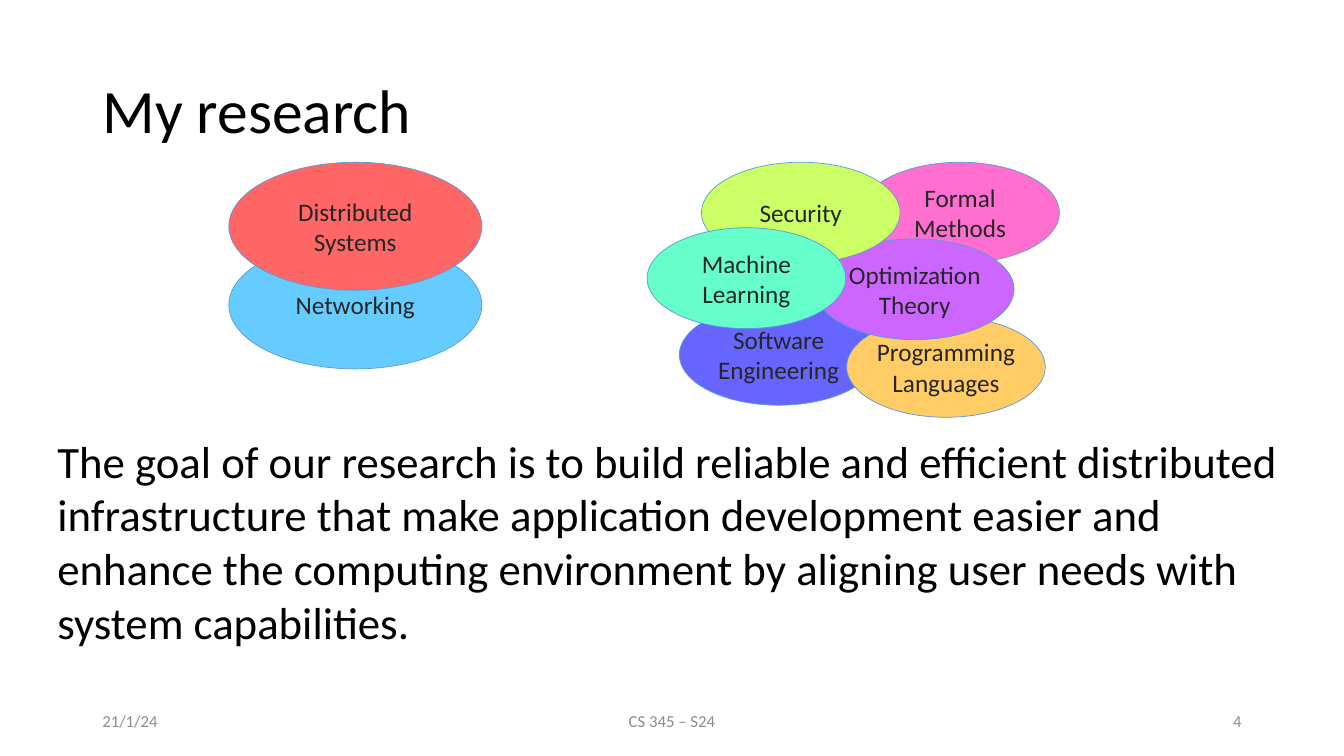
from pptx import Presentation
from pptx.dml.color import RGBColor
from pptx.enum.shapes import MSO_SHAPE
from pptx.enum.text import MSO_ANCHOR, MSO_AUTO_SIZE, PP_ALIGN
from pptx.util import Inches, Pt

ELLIPSE = MSO_SHAPE.OVAL
TOP, MIDDLE = MSO_ANCHOR.TOP, MSO_ANCHOR.MIDDLE
LEFT, CENTER, RIGHT = PP_ALIGN.LEFT, PP_ALIGN.CENTER, PP_ALIGN.RIGHT
FIXED_SIZE = MSO_AUTO_SIZE.NONE

COLUMNS, ROWS = 160, 90
CELL = Inches(1 / 12)
TITLE_ONLY = 5

COLORS = {
    "background": "FFFFFF", "text": "000000", "label": "262626",
    "footer": "8C8C8C", "outline": "5B9BD5",
    "indigo": "6666FF", "sky": "66CCFF", "pink": "FF6FCF",
    "orange": "FFCC66", "purple": "CC66FF", "lime": "CCFF66",
    "mint": "66FFCC", "red": "FF6666",
}

# Ellipse sizes in columns and rows
CORE = (30.12, 15.24)
RELATED = (23.64, 12)

# Topic, colour, size, column, row; from back to front
TOPICS_BEHIND_GOAL = [
    ("Software Engineering", "indigo", RELATED, 80.88, 36.24),
    ("Networking", "sky", CORE, 27.24, 28.68),
    ("Formal Methods", "pink", RELATED, 102.48, 19.32),
    ("Programming Languages", "orange", RELATED, 100.8, 37.68),
    ("Optimization Theory", "purple", RELATED, 97.08, 28.44),
]
TOPICS_IN_FRONT = [
    ("Security", "lime", RELATED, 83.52, 19.32),
    ("Machine Learning", "mint", RELATED, 77.04, 27.12),
    ("Distributed Systems", "red", CORE, 27.24, 19.32),
]

GOAL = (
    "The goal of our research is to build reliable and efficient distributed "
    "infrastructure that make application development easier and enhance the "
    "computing environment by aligning user needs with system capabilities."
)

# Text, column, width in columns, alignment
FOOTERS = [
    ("21/1/24", 11, 36, LEFT),
    ("CS 345 – S24", 53, 54, CENTER),
    ("4", 113, 36, RIGHT),
]


class SlideBuilder:
    font_name = "Calibri"

    def __init__(self, deck):
        self.page = deck.slides.add_slide(deck.slide_layouts[TITLE_ONLY])
        fill = self.page.background.fill
        fill.solid()
        fill.fore_color.rgb = self.color("background")

    def color(self, name):
        return RGBColor.from_string(COLORS[name])

    def place(self, *cells):
        return [round(cell * CELL) for cell in cells]

    def set_text(self, shape, text, size, color, alignment, anchor):
        frame = shape.text_frame
        frame.text = text
        frame.word_wrap = True
        frame.auto_size = FIXED_SIZE
        frame.vertical_anchor = anchor
        paragraph = frame.paragraphs[0]
        paragraph.alignment = alignment
        paragraph.font.name = self.font_name
        paragraph.font.size = Pt(size)
        paragraph.font.color.rgb = self.color(color)
        return paragraph

    def title(self, text, *cells):
        title = self.page.shapes.title
        title.left, title.top, title.width, title.height = self.place(*cells)
        paragraph = self.set_text(title, text, 44, "text", LEFT, MIDDLE)
        paragraph.line_spacing = 0.9

    def text(self, text, cells, size, color="text", alignment=LEFT, anchor=TOP):
        box = self.page.shapes.add_textbox(*self.place(*cells))
        self.set_text(box, text, size, color, alignment, anchor)

    def topic(self, text, color, size, column, row):
        ellipse = self.page.shapes.add_shape(
            ELLIPSE, *self.place(column, row, *size))
        ellipse.shadow.inherit = False
        ellipse.fill.solid()
        ellipse.fill.fore_color.rgb = self.color(color)
        ellipse.line.color.rgb = self.color("outline")
        ellipse.line.width = Pt(0.5)
        self.set_text(ellipse, text, 18, "label", CENTER, MIDDLE)
        ellipse.text_frame.margin_left = ellipse.text_frame.margin_right = 0


def main():
    deck = Presentation()
    deck.slide_width, deck.slide_height = COLUMNS * CELL, ROWS * CELL
    slide = SlideBuilder(deck)

    slide.title("My research", 11, 4.8, 138, 17.4)

    # Research topics around the goal statement
    for topic in TOPICS_BEHIND_GOAL:
        slide.topic(*topic)
    slide.text(GOAL, (5.64, 51, 148.68, 27.12), 32)
    for topic in TOPICS_IN_FRONT:
        slide.topic(*topic)

    # Footer line
    for text, column, width, alignment in FOOTERS:
        slide.text(text, (column, 83.4, width, 4.8), 12, "footer",
                   alignment, MIDDLE)

    deck.save("out.pptx")


if __name__ == "__main__":
    main()
